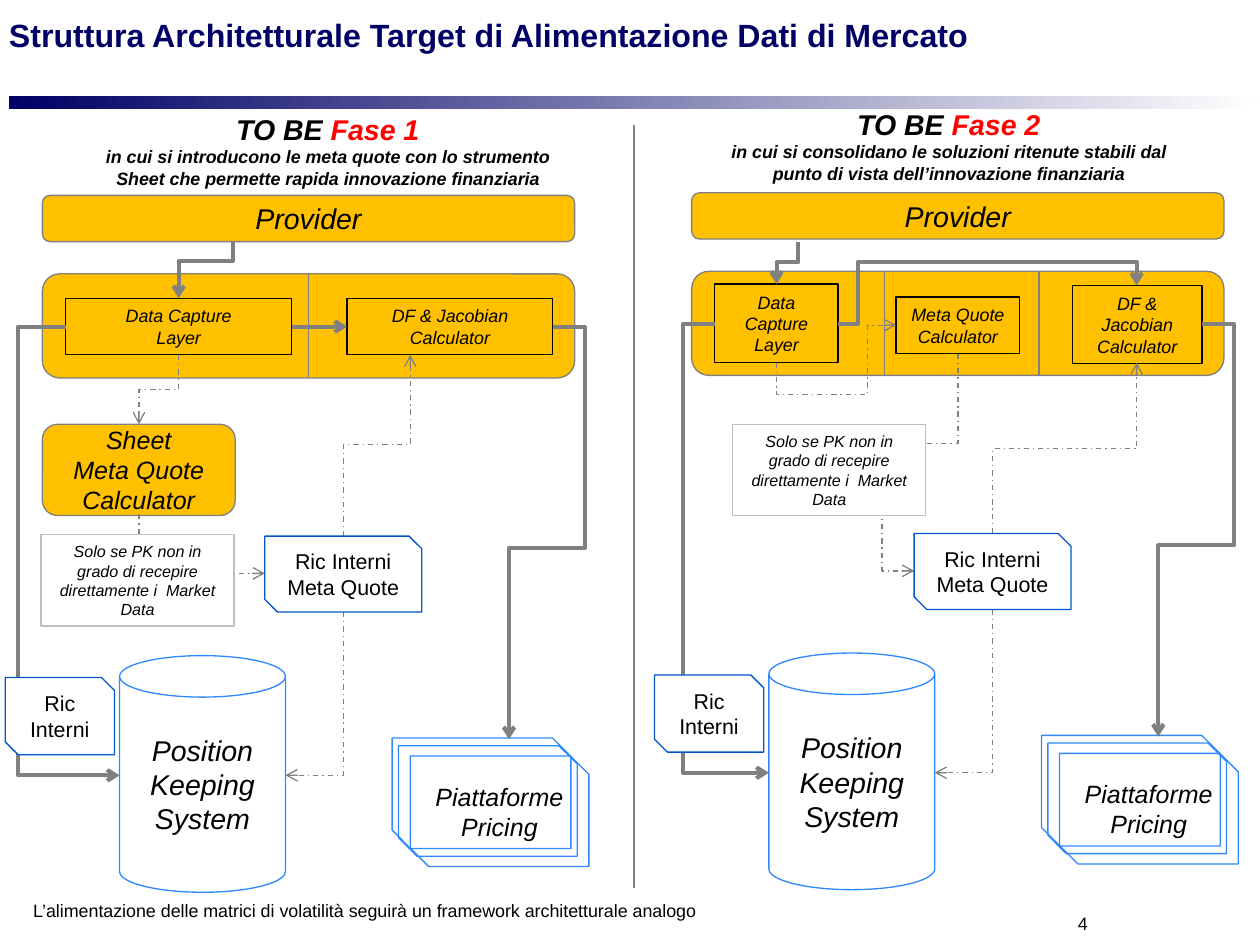
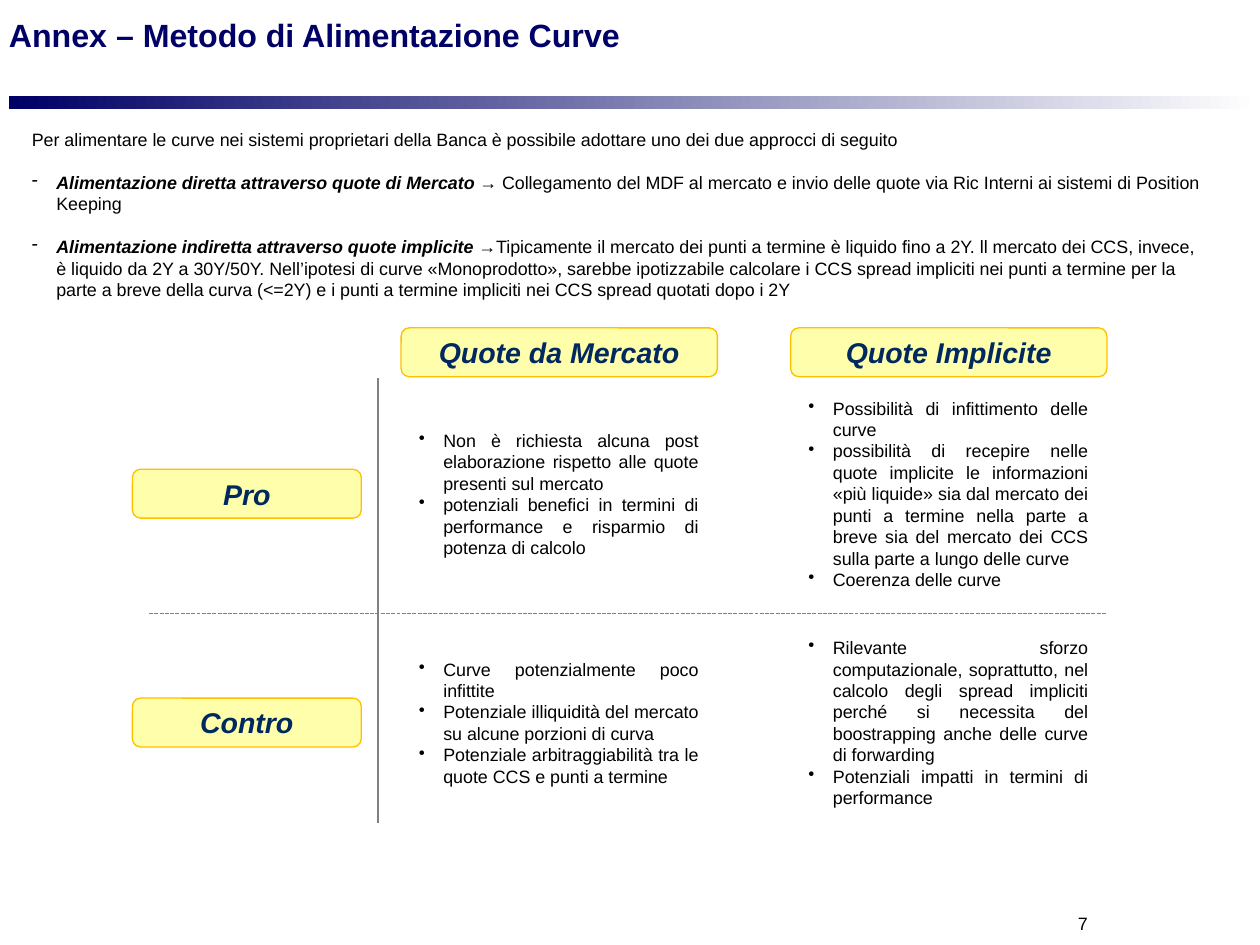
from lxml.etree import SubElement
from pptx import Presentation
from pptx.dml.color import RGBColor
from pptx.enum.dml import MSO_LINE
from pptx.enum.shapes import MSO_CONNECTOR as LINK, MSO_SHAPE as SHAPE
from pptx.enum.text import MSO_ANCHOR as ANCHOR, PP_ALIGN as ALIGN
from pptx.oxml.ns import qn
from pptx.util import Inches, Pt

# Shared look
FONT = "Arial"
NAVY, BLACK, WHITE, GRAY, RED = "000066", "000000", "FFFFFF", "808080", "FF0000"
AMBER, SKY, BLUE, SILVER = "FFC000", "3088FF", "0055C8", "BFBFBF"
LEMON, INK = "FFFFAB", "002960"
THICK, THIN = 2.25, 0.75
DASH_DOT, SHORT_DASH = MSO_LINE.DASH_DOT, MSO_LINE.SQUARE_DOT

# Content of the architecture slide
NOTE = "Solo se PK non in grado di recepire direttamente i  Market Data"
CAPTURE = ["Data Capture", "Layer"]
JACOBIAN = ["DF & Jacobian", "Calculator"]
FOOTNOTE = "L’alimentazione delle matrici di volatilità seguirà un framework architetturale analogo"
PHASES = [
    {
        "name": "Fase 1",
        "aim": "in cui si introducono le meta quote con lo strumento "
               "Sheet che permette rapida innovazione finanziaria",
        "heading": (0.63, 0.82, 3.84, 0.71),
        "shift": (0, 0),
        "dividers": [2.4],
        "modules": [((0.51, 2.32, 1.76, 0.44), CAPTURE),
                    ((2.7, 2.32, 1.6, 0.44), JACOBIAN)],
        "sheet": (0.33, 3.3, 1.5, 0.71),
        "note": (0.32, 4.16, 1.5, 0.71),
        "main_flows": [[(0.51, 2.54), (0.14, 2.54), (0.14, 6.03), (0.93, 6.03)],
                       [(1.81, 1.88), (1.81, 2.03), (1.39, 2.03), (1.39, 2.32)],
                       [(2.27, 2.54), (2.7, 2.54)]],
        "meta_flows": [[(1.08, 4), (1.08, 4.46), (2.06, 4.46)],
                       [(2.67, 4.17), (2.67, 3.46), (3.19, 3.46), (3.19, 2.76)],
                       [(1.39, 2.76), (1.39, 3.03), (1.08, 3.03), (1.08, 3.3)]],
    },
    {
        "name": "Fase 2",
        "aim": "in cui si consolidano le soluzioni ritenute stabili dal "
               "punto di vista dell’innovazione finanziaria",
        "heading": (5.46, 0.78, 3.84, 0.71),
        "shift": (5.05, -0.02),
        "dividers": [6.88, 8.08],
        "modules": [((5.56, 2.21, 0.96, 0.61), CAPTURE),
                    ((6.97, 2.31, 0.96, 0.44), ["Meta Quote Calculator"]),
                    ((8.34, 2.22, 1.01, 0.61), JACOBIAN)],
        "sheet": None,
        "note": (5.7, 3.3, 1.5, 0.71),
        "main_flows": [[(5.56, 2.52), (5.31, 2.52), (5.31, 6.01), (5.98, 6.01)],
                       [(6.21, 1.88), (6.21, 2.04), (6.04, 2.04), (6.04, 2.21)],
                       [(6.52, 2.52), (6.67, 2.52), (6.67, 2.04), (8.84, 2.04), (8.84, 2.22)]],
        "meta_flows": [[(7.45, 2.75), (7.45, 3.45), (6.86, 3.45), (6.86, 4.44), (7.11, 4.44)],
                       [(7.72, 4.15), (7.72, 3.49), (8.84, 3.49), (8.84, 2.82)],
                       [(6.04, 2.82), (6.04, 3.07), (6.75, 3.07), (6.75, 2.53), (6.97, 2.53)]],
    },
]
# Flows found in both phases, placed for the first one
TO_PRICING = [(4.3, 2.54), (4.55, 2.54), (4.55, 4.26), (3.96, 4.26), (3.96, 5.75)]
META_TO_KEEPING = [(2.67, 4.76), (2.67, 6.03), (2.22, 6.03)]
PRICING_SHEETS = [(3.05, 5.74), (3.1, 5.8), (3.19, 5.88)]

# Content of the annex slide
INTRO = ("Per alimentare le curve nei sistemi proprietari della Banca è possibile "
         "adottare uno dei due approcci di seguito")
APPROACHES = [
    ("Alimentazione diretta attraverso quote di Mercato ",
     "→ Collegamento del MDF al mercato e invio delle quote via Ric Interni ai sistemi "
     "di Position Keeping"),
    ("Alimentazione indiretta attraverso quote implicite ",
     "→Tipicamente il mercato dei punti a termine è liquido fino a 2Y. ll mercato dei CCS, "
     "invece, è liquido da 2Y a 30Y/50Y. Nell’ipotesi di curve «Monoprodotto», sarebbe "
     "ipotizzabile calcolare i CCS spread impliciti nei punti a termine per la parte a breve "
     "della curva (<=2Y) e i punti a termine impliciti nei CCS spread quotati dopo i 2Y"),
]
QUOTE_TYPES = ["Quote da Mercato", "Quote Implicite"]
VERDICTS = {
    "Pro": [
        ["Non è richiesta alcuna post elaborazione rispetto alle quote presenti sul mercato",
         "potenziali benefici in termini di performance e risparmio di potenza di calcolo"],
        ["Possibilità di infittimento delle curve",
         "possibilità di recepire nelle quote implicite le informazioni «più liquide» sia dal "
         "mercato dei punti a termine nella parte a breve sia del mercato dei CCS sulla parte "
         "a lungo delle curve",
         "Coerenza delle curve"],
    ],
    "Contro": [
        ["Curve potenzialmente poco infittite",
         "Potenziale illiquidità del mercato su alcune porzioni di curva",
         "Potenziale arbitraggiabilità tra le quote CCS e punti a termine"],
        ["Rilevante sforzo computazionale, soprattutto, nel calcolo degli spread impliciti "
         "perché si necessita del boostrapping anche delle curve di forwarding",
         "Potenziali impatti in termini di performance"],
    ],
}


def color(value):
    return RGBColor.from_string(value)


def inches(values):
    return [Inches(value) for value in values]


def write(holder, lines, size=10, ink=BLACK, bold=False, italic=False, align=ALIGN.LEFT,
          anchor=ANCHOR.TOP, inset=None, wrap=True, bullet=None, gap=0):
    """Each line is a string or a list of (string, format changes) runs."""
    frame = holder.text_frame
    frame.word_wrap, frame.vertical_anchor = wrap, anchor
    if inset is not None:
        frame.margin_left = frame.margin_right = Inches(inset)
        frame.margin_top = frame.margin_bottom = Inches(inset)
    for number, line in enumerate(lines):
        paragraph = frame.add_paragraph() if number else frame.paragraphs[0]
        paragraph.alignment = align
        paragraph.space_before = Pt(gap if number else 0)
        runs = [(line, {})] if isinstance(line, str) else line
        for words, changes in runs:
            look = {"size": size, "ink": ink, "bold": bold, "italic": italic, **changes}
            run = paragraph.add_run()
            run.text = words
            run.font.name, run.font.size = FONT, Pt(look["size"])
            run.font.bold, run.font.italic = look["bold"], look["italic"]
            run.font.color.rgb = color(look["ink"])
        # The first line leads a dashed list without a dash of its own
        if bullet and not (bullet == "-" and number == 0):
            props = paragraph._p.get_or_add_pPr()
            props.set("marL", str(Inches(0.19)))
            props.set("indent", str(-Inches(0.19)))
            SubElement(props, qn("a:buChar")).set("char", bullet)


def text(slide, box, lines, **fmt):
    write(slide.shapes.add_textbox(*inches(box)), lines, **fmt)


def block(slide, kind, box, fill=None, edge=None, lines=(), **fmt):
    shape = slide.shapes.add_shape(kind, *inches(box))
    shape.shadow.inherit = False
    if fill:
        shape.fill.solid()
        shape.fill.fore_color.rgb = color(fill)
    else:
        shape.fill.background()
    if edge:
        shape.line.color.rgb = color(edge)
        shape.line.width = Pt(THIN)
    else:
        shape.line.fill.background()
    if lines:
        write(shape, lines, align=ALIGN.CENTER, anchor=ANCHOR.MIDDLE, **fmt)
    return shape


def elbow(slide, points):
    """Right-angled connector through all points: two to four segments."""
    (x1, y1), (x2, y2) = points[0], points[-1]
    dx, dy = x2 - x1, y2 - y1
    upright = points[1][0] == x1
    if upright:
        turn = 90 if dx * dy < 0 else 270
        flip_h = dy < 0 if turn == 90 else dy > 0
        flip_v = dy < 0
        width, height = abs(dy), abs(dx)
    else:
        turn, flip_h, flip_v = 0, dx < 0, dy < 0
        width, height = abs(dx), abs(dy)
    left, top = (x1 + x2 - width) / 2, (y1 + y2 - height) / 2
    link = slide.shapes.add_connector(
        LINK.ELBOW, *inches((left, top, left + width, top + height)))
    frame = link.element.spPr.find(qn("a:xfrm"))
    frame.set("rot", str(turn * 60000))
    frame.set("flipH", str(int(flip_h)))
    frame.set("flipV", str(int(flip_v)))
    outline = link.element.spPr.find(qn("a:prstGeom"))
    outline.set("prst", f"bentConnector{len(points) - 1}")
    guides = outline.find(qn("a:avLst"))
    if guides is None:
        guides = SubElement(outline, qn("a:avLst"))
    # Each free bend is set by its share of the full run
    for number, (x, y) in enumerate(points[1:-2], 1):
        along_y = upright == (number % 2 == 1)
        share = (y - y1) / dy if along_y else (x - x1) / dx
        guide = SubElement(guides, qn("a:gd"))
        guide.set("name", f"adj{number}")
        guide.set("fmla", f"val {round(share * 100000)}")
    return link


def line(slide, points, weight=THIN, dash=None, arrow=False):
    if len(points) == 2:
        link = slide.shapes.add_connector(LINK.STRAIGHT, *inches(points[0] + points[1]))
    else:
        link = elbow(slide, points)
    link.line.color.rgb = color(GRAY)
    link.line.width = Pt(weight)
    if dash:
        link.line.dash_style = dash
    if arrow:
        SubElement(link.element.spPr.find(qn("a:ln")), qn("a:tailEnd")).set("type", "arrow")
    SubElement(link.element.spPr, qn("a:effectLst"))


def titled_slide(deck, title, number):
    slide = deck.slides.add_slide(deck.slide_layouts[6])
    band = block(slide, SHAPE.RECTANGLE, (0.07, 0.75, 9.72, 0.1))
    band.fill.gradient()
    band.fill.gradient_angle = 0
    for stop, shade, place in zip(band.fill.gradient_stops, (NAVY, WHITE), (0, 1)):
        stop.color.rgb, stop.position = color(shade), place
    text(slide, (0.07, 0.12, 9.43, 0.3), [title], size=18, ink=NAVY, bold=True,
         anchor=ANCHOR.BOTTOM, inset=0)
    text(slide, (8.29, 7.1, 0.17, 0.17), [str(number)], align=ALIGN.RIGHT,
         anchor=ANCHOR.MIDDLE, inset=0, wrap=False)
    return slide


def draw_phase(slide, phase):
    right, down = phase["shift"]

    def place(left, top, width, height):
        return left + right, top + down, width, height

    def route(points):
        return [(x + right, y + down) for x, y in points]

    # Heading, provider and market data band
    text(slide, phase["heading"],
         [[("TO BE ", {}), (phase["name"], {"ink": RED})], [(phase["aim"], {"size": 10})]],
         size=16, bold=True, italic=True, align=ALIGN.CENTER)
    block(slide, SHAPE.ROUNDED_RECTANGLE, place(0.33, 1.52, 4.14, 0.36), AMBER, GRAY,
          ["Provider"], size=16, italic=True)
    block(slide, SHAPE.ROUNDED_RECTANGLE, place(0.33, 2.13, 4.14, 0.81), AMBER, GRAY)
    for x in phase["dividers"]:
        line(slide, [(x, 2.13 + down), (x, 2.94 + down)])
    for box, lines in phase["modules"]:
        block(slide, SHAPE.RECTANGLE, box, None, BLACK, lines, italic=True)
    if phase["sheet"]:
        block(slide, SHAPE.ROUNDED_RECTANGLE, phase["sheet"], AMBER, GRAY,
              ["Sheet", "Meta Quote Calculator"], size=14, italic=True)

    # Target systems
    block(slide, SHAPE.CAN, place(0.93, 5.1, 1.29, 1.84), None, SKY,
          ["Position Keeping System"], size=16, italic=True)
    for corner in PRICING_SHEETS:
        lines = ["Piattaforme Pricing"] if corner == PRICING_SHEETS[-1] else []
        block(slide, SHAPE.SNIP_2_DIAG_RECTANGLE, place(*corner, 1.39, 0.86), None, SKY,
              lines, size=14, italic=True)

    # Flows, then the cards that lie on them
    for points in [route(TO_PRICING), *phase["main_flows"]]:
        line(slide, points, THICK, arrow=True)
    for points in [route(META_TO_KEEPING), *phase["meta_flows"]]:
        line(slide, points, dash=DASH_DOT, arrow=True)
    block(slide, SHAPE.RECTANGLE, phase["note"], WHITE, SILVER, [NOTE], size=9, italic=True)
    for box, lines in [((2.06, 4.17, 1.22, 0.59), ["Ric Interni", "Meta Quote"]),
                       ((0.04, 5.27, 0.85, 0.6), ["Ric Interni"])]:
        block(slide, SHAPE.SNIP_2_DIAG_RECTANGLE, place(*box), WHITE, BLUE, lines, size=12)


deck = Presentation()
deck.slide_width, deck.slide_height = Inches(9.8), Inches(7.35)

# Architecture in two phases
architecture = titled_slide(
    deck, "Struttura Architetturale Target di Alimentazione Dati di Mercato", 4)
line(architecture, [(4.93, 0.97), (4.93, 6.91)])
for phase in PHASES:
    draw_phase(architecture, phase)
text(architecture, (0.16, 6.95, 8.09, 0.27), [FOOTNOTE])

# Annex: approaches, then pros and cons by quote type
annex = titled_slide(deck, "Annex – Metodo di Alimentazione Curve", 7)
text(annex, (0.15, 0.95, 9.34, 1.45),
     [INTRO] + [[(name, {"bold": True, "italic": True}), (detail, {})]
                for name, detail in APPROACHES], bullet="-", gap=12)
TAG_HEIGHT, CELL_HEIGHT = 0.38, 1.62
COLUMNS = [3.12 + 3.03 * i for i in range(len(QUOTE_TYPES))]
ROWS = [3.65 + 1.78 * i for i in range(len(VERDICTS))]
tags = [(name, (x, 2.55, 2.46, TAG_HEIGHT)) for name, x in zip(QUOTE_TYPES, COLUMNS)]
tags += [(name, (1.03, y, 1.78, TAG_HEIGHT)) for name, y in zip(VERDICTS, ROWS)]
for name, box in tags:
    block(annex, SHAPE.ROUNDED_RECTANGLE, box, LEMON, AMBER, [name],
          size=16, ink=INK, bold=True, italic=True)
line(annex, [(2.94, 2.94), (2.94, 6.4)])
line(annex, [(1.16, 4.77), (8.61, 4.77)], dash=SHORT_DASH)
for y, cells in zip(ROWS, VERDICTS.values()):
    for x, reasons in zip(COLUMNS, cells):
        text(annex, (x + 0.04, y + (TAG_HEIGHT - CELL_HEIGHT) / 2, 2.37, CELL_HEIGHT),
             reasons, align=ALIGN.JUSTIFY, anchor=ANCHOR.MIDDLE, bullet="•")

deck.save("out.pptx")
